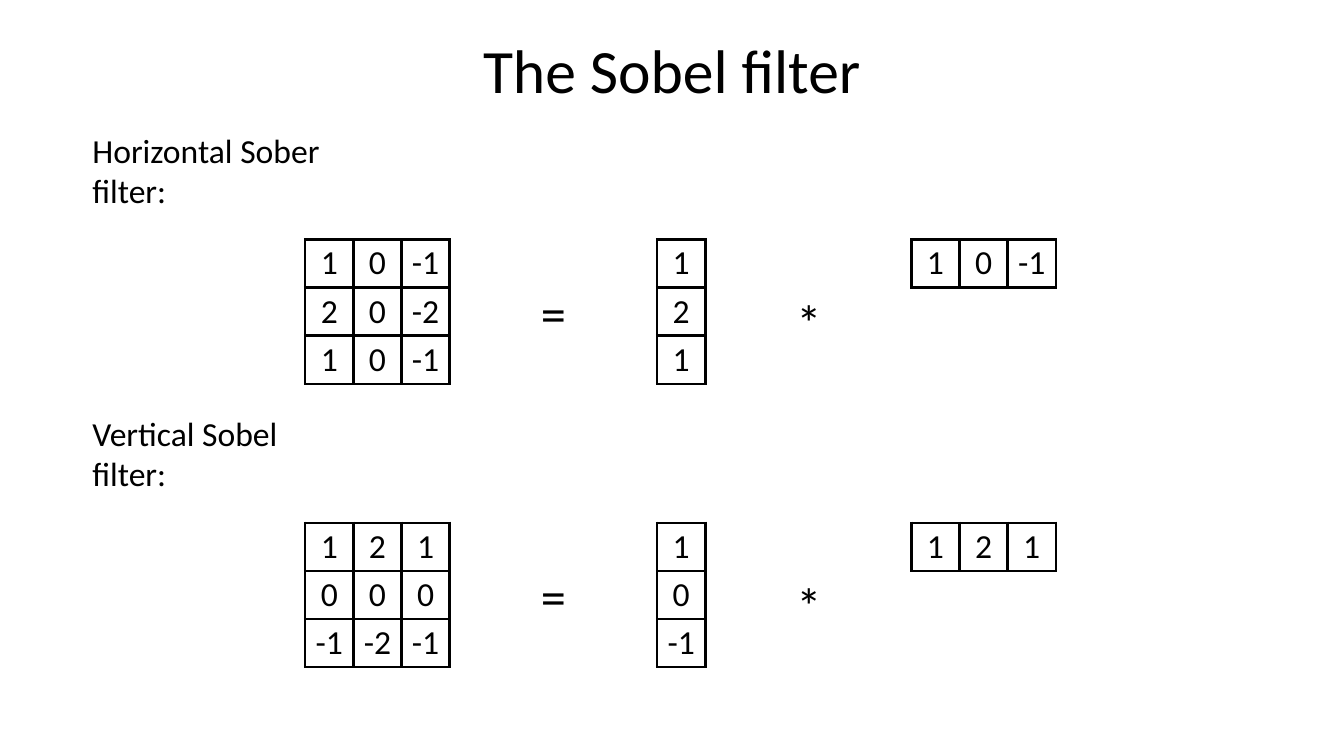
from dataclasses import dataclass

from lxml.etree import SubElement
from pptx import Presentation
from pptx.dml.color import RGBColor
from pptx.enum.text import MSO_ANCHOR, PP_ALIGN
from pptx.oxml.ns import qn
from pptx.util import Pt


@dataclass(frozen=True)
class Theme:
    font: str = "Calibri"
    ink: str = "000000"
    title: int = 44
    sign: int = 36
    body: int = 24
    rule: int = 2
    cell: float = 34.4
    pad: float = 2.6
    inset: float = 2


THEME = Theme()


def write(frame, text, size, align):
    para = frame.paragraphs[0]
    para.alignment = align
    run = para.add_run()
    run.text = text
    run.font.name = THEME.font
    run.font.size = Pt(size)
    run.font.color.rgb = RGBColor.from_string(THEME.ink)
    return para


def add_text(slide, box, text, size, align=PP_ALIGN.LEFT, wrap=True, right=THEME.inset):
    frame = slide.shapes.add_textbox(*map(Pt, box)).text_frame
    frame.word_wrap = wrap
    frame.vertical_anchor = MSO_ANCHOR.MIDDLE
    frame.margin_left = frame.margin_top = frame.margin_bottom = Pt(THEME.inset)
    frame.margin_right = Pt(right)
    return write(frame, text, size, align)


def add_rules(cell):
    """Draw the four borders of a cell."""
    props = cell._tc.get_or_add_tcPr()
    for side in ("a:lnL", "a:lnR", "a:lnT", "a:lnB"):
        line = SubElement(props, qn(side), w=str(Pt(THEME.rule)))
        fill = SubElement(line, qn("a:solidFill"))
        SubElement(fill, qn("a:srgbClr"), val=THEME.ink)


def add_matrix(slide, left, top, rows):
    high, wide = len(rows), len(rows[0])
    side = THEME.cell
    box = (left, top, wide * side, high * side)
    table = slide.shapes.add_table(high, wide, *map(Pt, box)).table
    table.first_row = table.horz_banding = False
    for line in (*table.rows,):
        line.height = Pt(side)
    for line in (*table.columns,):
        line.width = Pt(side)
    for r, row in enumerate(rows):
        for c, value in enumerate(row):
            cell = table.cell(r, c)
            cell.margin_left = cell.margin_right = Pt(THEME.pad)
            cell.margin_top = cell.margin_bottom = Pt(THEME.pad)
            cell.vertical_anchor = MSO_ANCHOR.MIDDLE
            add_rules(cell)
            cell.fill.background()
            write(cell.text_frame, str(value), THEME.body, PP_ALIGN.CENTER)


def add_title(slide, box, text):
    para = add_text(slide, box, text, THEME.title, PP_ALIGN.CENTER)
    para.line_spacing = 0.9


def add_filter(slide, box, label, column, row):
    """Show a kernel as the product of a column and a row."""
    left, top, wide, high = box
    add_text(slide, (left, top, wide, high), label, THEME.body, right=14)
    grid = top + 66.6
    kernel = [[a * b for b in row] for a in column]
    add_matrix(slide, left + 154, grid, kernel)
    add_text(slide, (left + 320.4, top + 94.4, 22.4, 48.4), "=", THEME.sign, wrap=False)
    add_matrix(slide, left + 405.4, grid, [[a] for a in column])
    add_text(slide, (left + 502, top + 100.8, 23.8, 48.4), "*", THEME.sign, PP_ALIGN.CENTER)
    add_matrix(slide, left + 587, grid, [row])


def main():
    deck = Presentation()
    deck.slide_width, deck.slide_height = Pt(960), Pt(540)
    slide = deck.slides.add_slide(deck.slide_layouts[6])
    add_title(slide, (0, 0, 960, 104.4), "The Sobel filter")
    add_filter(slide, (64, 104.4, 224, 34), "Horizontal Sober filter:", (1, 2, 1), (1, 0, -1))
    add_filter(slide, (64, 306.8, 194, 34), "Vertical Sobel filter:", (1, 0, -1), (1, 2, 1))
    deck.save("out.pptx")


if __name__ == "__main__":
    main()
